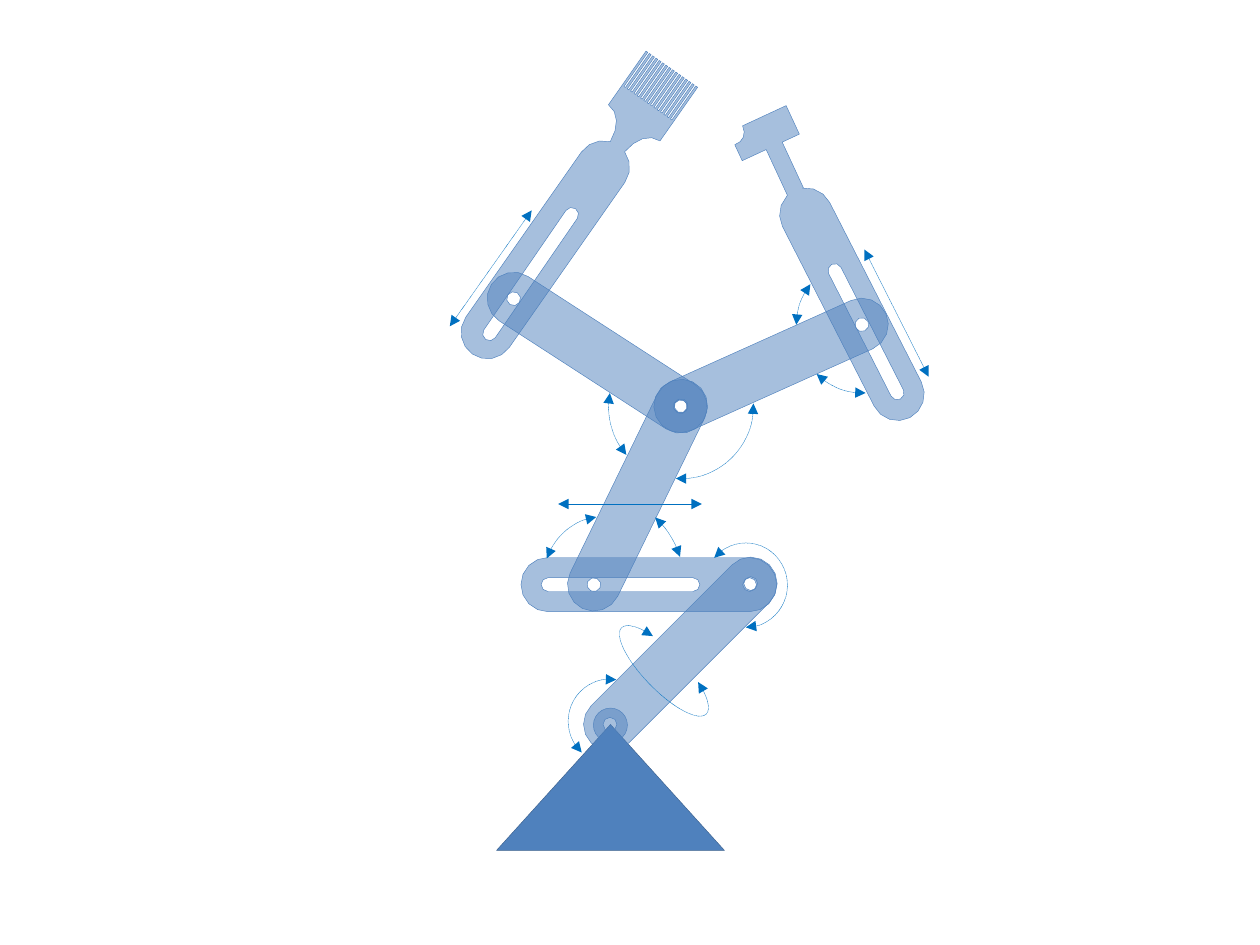
from math import asin, atan2, cos, pi, sin

from lxml import etree
from pptx import Presentation
from pptx import util as u
from pptx.dml.color import RGBColor
from pptx.enum import dml, shapes
from pptx.oxml.ns import qn

THEME = {"body": "4F81BD", "base_line": "3A5F8C", "motion": "0070C0",
         "line_pt": 0.25, "alpha": 50}

# Half length, radius, pin radius and neck half width, in inches
HALF, RADIUS, PIN, NECK = 0.79, 0.21, 0.055, 0.07

# Centre x, centre y, rotation
PLAIN_ARMS = [(5.4, 5.19, 315), (5.06, 3.93, 296), (6.12, 2.9, 335.8), (4.74, 2.8, 32.9)]
SLIDING_ARM = (5.15, 4.64, 0)
BRUSH = (4.54, 1.68, 35)
HAMMER = (6.6, 2.14, 335.1)

BASE = (3.94, 5.75, 1.81, 1)
PIVOT = (4.71, 5.62, 0.27, 0.27)

# Left, top, width, height, start angle, end angle, rotation, mirrored
TURNS = [
    (4.51, 5.39, 0.66, 0.67, 131.9, 278.9, 0, False),
    (5.59, 4.31, 0.66, 0.67, 220.8, 90.1, 0, False),
    (4.02, 3.92, 1.41, 1.43, 312, 342.2, 0, False),
    (4.31, 4.1, 0.96, 1.02, 276.4, 338.4, 0, True),
    (6.32, 2.05, 1.06, 1.07, 87.8, 133.8, 0, False),
    (6.32, 2.05, 1.06, 1.07, 180.7, 218.2, 0, False),
    (4.83, 2.65, 1.15, 1.16, 138.7, 191, 0, False),
    (4.83, 2.64, 1.15, 1.16, 358.3, 94.1, 0, False),
    (4.79, 5.17, 0.96, 0.31, 332.5, 206.8, 45.6, False),
]
SLIDES = [(4.43, 4, 5.57, 4), (3.57, 2.59, 4.22, 1.67), (6.86, 1.98, 7.37, 2.99)]


def arc_points(c, r, start, end):
    """Return points on a circle between two angles, fewer on a small one."""
    per_quarter = 4 if r > 0.1 else 2
    n = max(1, round((end - start) / (pi / 2) * per_quarter))
    angles = [start + (end - start) * i / n for i in range(n + 1)]
    return [(c[0] + r * cos(a), c[1] + r * sin(a)) for a in angles]


def bezier(a, b, c, d, n=4):
    """Return points on a cubic curve."""
    steps = [i / n for i in range(n + 1)]
    return [tuple((1 - t) ** 3 * a[k] + 3 * t * (1 - t) ** 2 * b[k]
                  + 3 * t * t * (1 - t) * c[k] + t ** 3 * d[k] for k in (0, 1))
            for t in steps]


def capsule(c1, c2, r, gap=0):
    """Return a round-ended bar, left open by a gap angle at its first end."""
    a = atan2(c2[1] - c1[1], c2[0] - c1[0])
    return (arc_points(c1, r, a + pi + gap, a + 1.5 * pi)
            + arc_points(c2, r, a - pi / 2, a + pi / 2)
            + arc_points(c1, r, a + pi / 2, a + pi - gap))


def brush_head():
    """Return the brush neck and bristles, from left to right."""
    right = bezier((0.25, -0.86), (0.15, -0.86), (0.08, -0.76), (NECK, -0.63))
    left = [(-x, y) for x, y in reversed(right)]
    count, top, root, tooth = 16, -1.38, -1.05, 0.018
    pitch = (0.5 - tooth) / (count - 1)
    bristles = []
    for i in range(count):
        x = -0.25 + i * pitch
        bristles += [(x, root), (x, top), (x + tooth, top), (x + tooth, root)]
    return left + bristles + right


def hammer_head():
    """Return the hammer shaft and notched head, from left to right."""
    notch = bezier((-0.28, -1.22), (-0.21, -1.21), (-0.16, -1.26), (-0.16, -1.33))
    return ([(-NECK, -0.68), (-NECK, -1.08), (-0.28, -1.08)] + notch
            + [(0.22, -1.33), (0.22, -1.08), (NECK, -1.08), (NECK, -0.68)])


def paint(sp, line, fill=None, alpha=None):
    """Set fill, line and transparency of a shape."""
    sp.shadow.inherit = False
    if fill:
        sp.fill.solid()
        sp.fill.fore_color.rgb = RGBColor.from_string(fill)
    else:
        sp.fill.background()
    if alpha:
        clr = sp.fill._xPr.find(qn("a:solidFill"))[0]
        etree.SubElement(clr, qn("a:alpha"), val=str(alpha * 1000))
    sp.line.color.rgb = RGBColor.from_string(line)
    sp.line.width = u.Pt(THEME["line_pt"])


def paint_motion(sp):
    """Draw a dotted line with an arrowhead at each end."""
    sp.line.color.rgb = RGBColor.from_string(THEME["motion"])
    sp.line.width = u.Pt(THEME["line_pt"])
    sp.line.dash_style = dml.MSO_LINE.ROUND_DOT
    ln = sp.line._get_or_add_ln()
    for end in ("a:headEnd", "a:tailEnd"):
        etree.SubElement(ln, qn(end), type="triangle")


def add_part(s, place, *contours):
    """Add a turned part; every contour after the first is a hole."""
    x, y, rot = place
    fb = None
    for points in contours:
        pts = [(u.Inches(x + px), u.Inches(y + py)) for px, py in points]
        if fb is None:
            fb = s.shapes.build_freeform(*pts[0])
        else:
            fb.move_to(*pts[0])
        fb.add_line_segments(pts[1:], close=True)
    sp = fb.convert_to_shape()
    sp.rotation = rot
    paint(sp, THEME["body"], THEME["body"], THEME["alpha"])


def add_preset(s, kind, box):
    """Add a preset shape in a box given in inches."""
    return s.shapes.add_shape(kind, *map(u.Inches, box))


def add_turn(s, left, top, width, height, start, end, rot, mirrored):
    """Add a curved double arrow."""
    sp = add_preset(s, shapes.MSO_SHAPE.ARC, (left, top, width, height))
    sp.adjustments[0], sp.adjustments[1] = start * 0.6, end * 0.6
    sp.rotation = rot
    if mirrored:
        sp._element.spPr.xfrm.set("flipH", "1")
    paint(sp, THEME["motion"])
    paint_motion(sp)


def add_slide_arrow(s, ends):
    """Add a straight double arrow."""
    cx = s.shapes.add_connector(shapes.MSO_CONNECTOR.STRAIGHT, *map(u.Inches, ends))
    paint_motion(cx)
    etree.SubElement(cx._element.spPr, qn("a:effectLst"))


def pin_hole(x):
    """Return a round hole on the arm's axis."""
    return arc_points((x, 0), PIN, 0, 2 * pi)


prs = Presentation()
prs.slide_width, prs.slide_height = u.Inches(10), u.Inches(7.5)
s = prs.slides.add_slide(prs.slide_layouts[6])

paint(add_preset(s, shapes.MSO_SHAPE.ISOSCELES_TRIANGLE, BASE),
      THEME["base_line"], THEME["body"])

bar = capsule((-HALF, 0), (HALF, 0), RADIUS)
add_part(s, PLAIN_ARMS[0], bar, pin_hole(-HALF), pin_hole(HALF))
add_part(s, SLIDING_ARM, capsule((-0.8, 0), (0.8, 0), 0.215),
         pin_hole(0.8), capsule((-0.8, 0), (0.35, 0), PIN))
for arm in PLAIN_ARMS[1:]:
    add_part(s, arm, bar, pin_hole(-HALF), pin_hole(HALF))

for turn in TURNS[:4]:
    add_turn(s, *turn)
for ends in SLIDES:
    add_slide_arrow(s, ends)
for turn in TURNS[4:]:
    add_turn(s, *turn)

paint(add_preset(s, shapes.MSO_SHAPE.OVAL, PIVOT),
      THEME["body"], THEME["body"], THEME["alpha"])

neck_gap = asin(NECK / RADIUS)
add_part(s, HAMMER, capsule((0, -0.48), (0.06, 1.12), RADIUS, neck_gap) + hammer_head(),
         capsule((0.02, 0.02), (0.06, 1.11), PIN))
add_part(s, BRUSH, capsule((0, -0.43), (0, 1.17), RADIUS, neck_gap) + brush_head(),
         capsule((0.01, 0.02), (0.02, 1.17), PIN))

prs.save("out.pptx")
